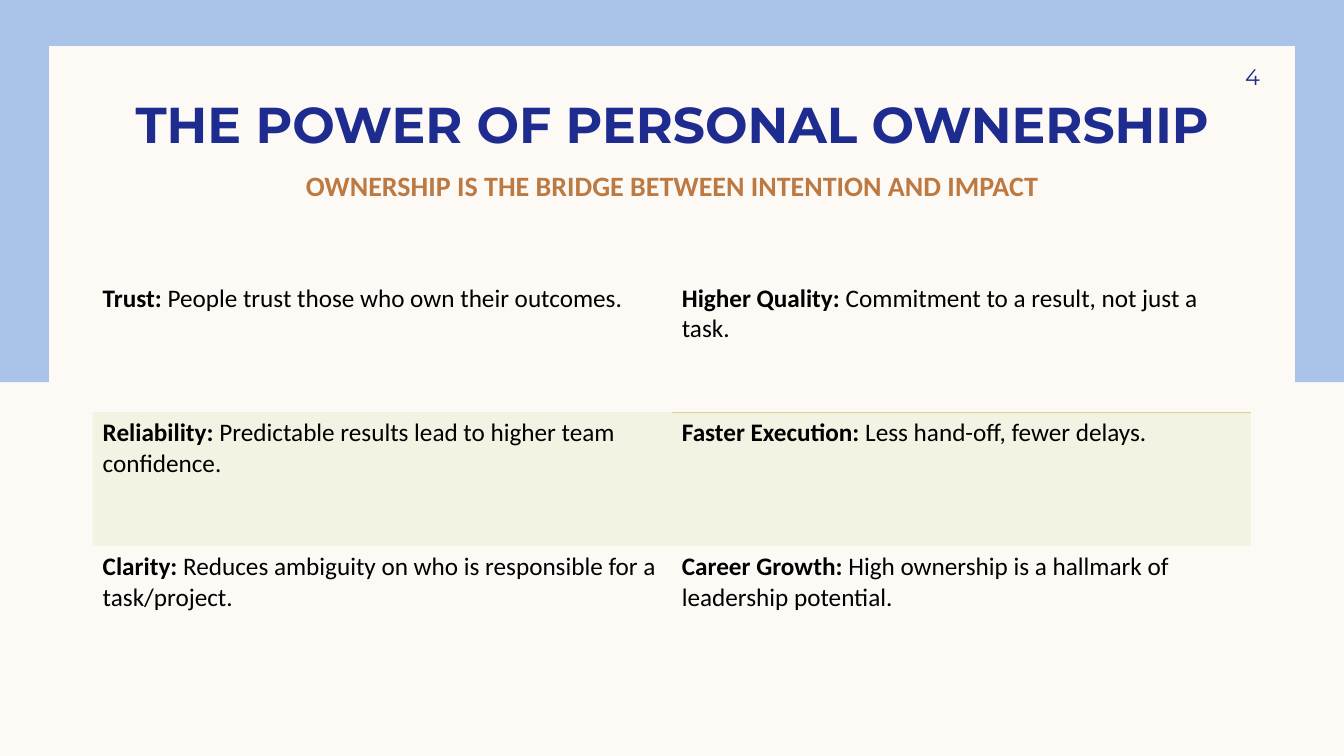
from dataclasses import dataclass

from lxml import etree
from pptx import Presentation
from pptx.dml.color import RGBColor
from pptx.enum.shapes import MSO_SHAPE
from pptx.enum.text import MSO_ANCHOR, MSO_AUTO_SIZE, PP_ALIGN
from pptx.oxml.ns import qn
from pptx.util import Pt

RECTANGLE = MSO_SHAPE.RECTANGLE
CENTER, LEFT, RIGHT = PP_ALIGN.CENTER, PP_ALIGN.LEFT, PP_ALIGN.RIGHT
BOTTOM, MIDDLE = MSO_ANCHOR.BOTTOM, MSO_ANCHOR.MIDDLE
NO_AUTOFIT = MSO_AUTO_SIZE.NONE

CREAM = RGBColor(0xFD, 0xFA, 0xF6)
SKY = RGBColor(0xAA, 0xC3, 0xE8)
NAVY = RGBColor(0x1F, 0x2C, 0x8F)
COPPER = RGBColor(0xBC, 0x79, 0x42)
OLIVE = RGBColor(0xD2, 0xD5, 0x92)
BLACK = RGBColor(0x00, 0x00, 0x00)

HEADING_FONT, BODY_FONT = "Montserrat", "Calibri"
PLAIN_TABLE_STYLE = "{2D5ABB26-0587-4C30-8999-92F81FD0307C}"
TITLE_LAYOUT = 5
COLUMN_WIDTH, ROW_HEIGHT = 413.7, 95.75
TINT_OPACITY = 20


@dataclass(frozen=True)
class Box:
    left: float
    top: float
    width: float
    height: float

    def lengths(self) -> tuple:
        return Pt(self.left), Pt(self.top), Pt(self.width), Pt(self.height)


@dataclass(frozen=True)
class Benefit:
    name: str
    reason: str


SKY_BAND = Box(0, 0, 960, 273)
PANEL = Box(35, 33, 890, 474.5)
TITLE = Box(66.2, 29.5, 828, 80)
SUBTITLE = Box(66.2, 106.6, 828, 37.4)
PAGE_NUMBER = Box(815.8, 36, 84.2, 37.4)

BENEFITS = [
    [Benefit("Trust:", "People trust those who own their outcomes."),
     Benefit("Higher Quality:", "Commitment to a result, not just a task.")],
    [Benefit("Reliability:", "Predictable results lead to higher team confidence."),
     Benefit("Faster Execution:", "Less hand-off, fewer delays.")],
    [Benefit("Clarity:", "Reduces ambiguity on who is responsible for a task/project."),
     Benefit("Career Growth:", "High ownership is a hallmark of leadership potential.")],
]
TABLE = Box(66.2, 198.7, 2 * COLUMN_WIDTH, len(BENEFITS) * ROW_HEIGHT)


def add_run(paragraph, text: str, *, size: float, color: RGBColor,
            font: str = BODY_FONT, bold: bool = False) -> None:
    run = paragraph.add_run()
    run.text = text
    run.font.name = font
    run.font.size = Pt(size)
    run.font.bold = bold
    run.font.color.rgb = color


def add_rectangle(slide, box: Box, color: RGBColor) -> None:
    shape = slide.shapes.add_shape(RECTANGLE, *box.lengths())
    shape.shadow.inherit = False
    shape.fill.solid()
    shape.fill.fore_color.rgb = color
    shape.line.fill.background()


def format_label(shape, box: Box, text: str, *, align=CENTER, anchor=BOTTOM,
                 right_inset: float = 7.2, **run_format) -> None:
    """Place a text shape and fill it with one formatted line."""
    shape.left, shape.top, shape.width, shape.height = box.lengths()
    frame = shape.text_frame
    frame.word_wrap = True
    frame.auto_size = NO_AUTOFIT
    frame.vertical_anchor = anchor
    frame.margin_left, frame.margin_right = Pt(7.2), Pt(right_inset)
    frame.margin_top = frame.margin_bottom = 0
    paragraph = frame.paragraphs[0]
    paragraph.alignment = align
    add_run(paragraph, text, **run_format)


def tint_cell(cell) -> None:
    cell.fill.solid()
    cell.fill.fore_color.rgb = OLIVE
    color = cell._tc.tcPr.find(qn("a:solidFill")).find(qn("a:srgbClr"))
    etree.SubElement(color, qn("a:alpha"), val=str(TINT_OPACITY * 1000))


def add_bottom_border(cell) -> None:
    """Draw a one-point olive rule; borders must precede the cell fill."""
    border = etree.Element(qn("a:lnB"), w=str(Pt(1)))
    fill = etree.SubElement(border, qn("a:solidFill"))
    etree.SubElement(fill, qn("a:srgbClr"), val=str(OLIVE))
    cell._tc.get_or_add_tcPr().insert(0, border)


def add_benefit_table(slide) -> None:
    frame = slide.shapes.add_table(len(BENEFITS), 2, *TABLE.lengths())
    table = frame.table
    table.first_row = False
    table.horz_banding = False
    table._tbl.tblPr.find(qn("a:tableStyleId")).text = PLAIN_TABLE_STYLE
    for column in table.columns:
        column.width = Pt(COLUMN_WIDTH)
    for row_index, benefits in enumerate(BENEFITS):
        table.rows[row_index].height = Pt(ROW_HEIGHT)
        for column_index, benefit in enumerate(benefits):
            cell = table.cell(row_index, column_index)
            if row_index % 2:
                tint_cell(cell)
            else:
                cell.fill.background()
            paragraph = cell.text_frame.paragraphs[0]
            paragraph.alignment = LEFT
            add_run(paragraph, benefit.name, size=18, color=BLACK, bold=True)
            add_run(paragraph, f" {benefit.reason}", size=18, color=BLACK)
    add_bottom_border(table.cell(0, 1))


def main() -> None:
    presentation = Presentation()
    presentation.slide_width, presentation.slide_height = Pt(960), Pt(540)
    slide = presentation.slides.add_slide(presentation.slide_layouts[TITLE_LAYOUT])
    slide.background.fill.solid()
    slide.background.fill.fore_color.rgb = CREAM

    add_rectangle(slide, SKY_BAND, SKY)
    add_rectangle(slide, PANEL, CREAM)

    title = slide.shapes.title
    slide.shapes._spTree.append(title._element)  # bring in front of the panel
    format_label(title, TITLE, "THE POWER OF PERSONAL OWNERSHIP",
                 size=36, color=NAVY, font=HEADING_FONT, bold=True)
    format_label(slide.shapes.add_textbox(*PAGE_NUMBER.lengths()), PAGE_NUMBER, "4",
                 align=RIGHT, anchor=MIDDLE, right_inset=0,
                 size=16, color=NAVY, font=HEADING_FONT)
    add_benefit_table(slide)
    format_label(slide.shapes.add_textbox(*SUBTITLE.lengths()), SUBTITLE,
                 "OWNERSHIP IS THE BRIDGE BETWEEN INTENTION AND IMPACT",
                 size=20, color=COPPER, bold=True)

    presentation.save("out.pptx")


if __name__ == "__main__":
    main()
